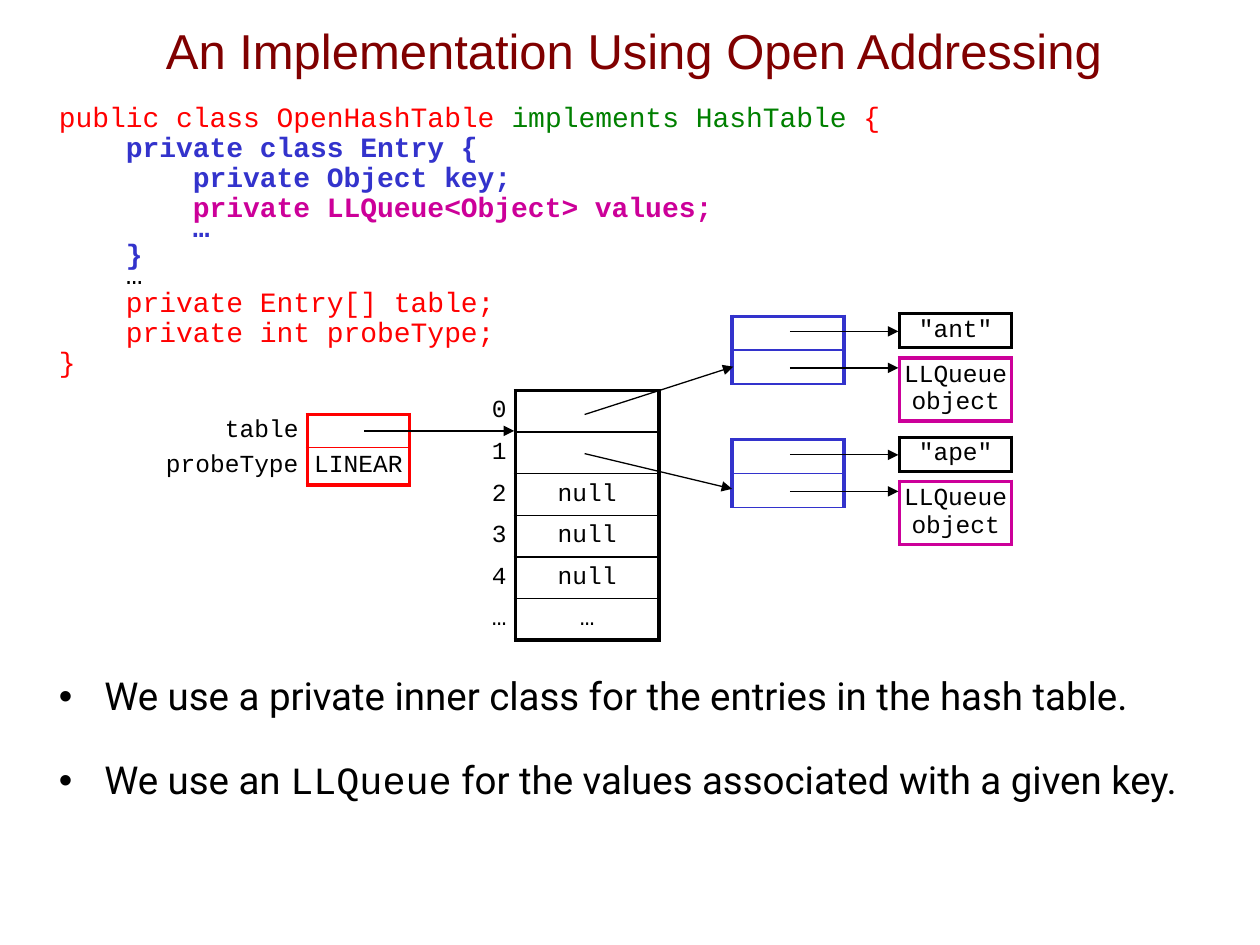
from dataclasses import dataclass

from lxml import etree
from pptx import Presentation
from pptx import util as u
from pptx.dml.color import RGBColor
from pptx.enum import shapes, text
from pptx.oxml.ns import qn


@dataclass(frozen=True)
class Theme:
    title: str = "800000"
    ink: str = "000000"
    red: str = "FF0000"
    green: str = "008000"
    blue: str = "3333CC"
    magenta: str = "CC0099"
    sans: str = "Arial"
    body: str = "Roboto"
    mono: str = "Courier New"
    title_size: int = 28
    body_size: int = 22
    code_size: int = 16
    cell_size: int = 14
    heavy: float = 2.25
    thin: float = 1
    arrow: float = 0.75


THEME = Theme()


def write(paragraph, content, *, font, size, colour=THEME.ink, bold=False):
    """Append a run to the paragraph; a newline becomes a line break."""
    for number, line in enumerate(content.split("\n")):
        if number:
            paragraph.add_line_break()
        run = paragraph.add_run()
        run.text = line
        run.font.name = font
        run.font.size = u.Pt(size)
        run.font.bold = bold
        run.font.color.rgb = RGBColor.from_string(colour)


def set_borders(cell, colour, **widths):
    """Set the four edges from widths in points; an edge left out is not drawn."""
    properties = cell._tc.get_or_add_tcPr()
    for position, side in enumerate("LRTB"):
        line = etree.Element(qn(f"a:ln{side}"))
        if side in widths:
            line.set("w", str(int(u.Pt(widths[side]))))
            fill = etree.SubElement(line, qn("a:solidFill"))
            etree.SubElement(fill, qn("a:srgbClr"), val=colour)
        else:
            etree.SubElement(line, qn("a:noFill"))
        properties.insert(position, line)


class SlideBuilder:
    def __init__(self, slide, theme):
        self.slide = slide
        self.theme = theme

    def text_box(self, left, top, width, height):
        box = self.slide.shapes.add_textbox(
            u.Inches(left), u.Inches(top), u.Inches(width), u.Inches(height))
        box.text_frame.word_wrap = True
        return box.text_frame

    def title(self, content):
        frame = self.text_box(0.28, -0.07, 9.5, 0.93)
        frame.vertical_anchor = text.MSO_ANCHOR.MIDDLE
        paragraph = frame.paragraphs[0]
        paragraph.alignment = text.PP_ALIGN.CENTER
        write(paragraph, content, font=self.theme.sans,
              size=self.theme.title_size, colour=self.theme.title)

    def code(self, lines):
        frame = self.text_box(0.37, 0.77, 9.63, 2.4)
        for number, runs in enumerate(lines):
            paragraph = frame.add_paragraph() if number else frame.paragraphs[0]
            ellipsis = runs[0][0].strip() == "…"
            paragraph.line_spacing = 0.5 if ellipsis else 0.9
            for content, colour, bold in runs:
                write(paragraph, content, font=self.theme.mono,
                      size=self.theme.code_size, colour=colour, bold=bold)

    def bullets(self, items):
        frame = self.text_box(0.37, 5.33, 9.63, 1.2)
        for number, runs in enumerate(items):
            paragraph = frame.add_paragraph() if number else frame.paragraphs[0]
            paragraph.line_spacing = 0.9
            if number:
                paragraph.space_before = u.Pt(24)
            properties = paragraph._p.get_or_add_pPr()
            properties.set("marL", str(u.Inches(0.36)))
            properties.set("indent", str(-u.Inches(0.36)))
            etree.SubElement(properties, qn("a:buFont"), typeface=self.theme.sans)
            etree.SubElement(properties, qn("a:buChar"), char="•")
            for content, font in runs:
                write(paragraph, content, font=font, size=self.theme.body_size)

    def memory(self, left, top, widths, heights, rows, colour, bottom=THEME.heavy):
        """Draw a table whose last column is boxed and whose others are labels."""
        frame = self.slide.shapes.add_table(
            len(heights), len(widths), u.Inches(left), u.Inches(top),
            u.Inches(sum(widths)), u.Inches(sum(heights)))
        table = frame.table
        table.first_row = table.horz_banding = False
        for column, width in zip(table.columns, widths):
            column.width = u.Inches(width)
        for row, height in zip(table.rows, heights):
            row.height = u.Inches(height)
        heavy, thin = self.theme.heavy, self.theme.thin
        last_row, last_column = len(heights) - 1, len(widths) - 1
        for row, values in enumerate(rows):
            for column, value in enumerate(values):
                cell = table.cell(row, column)
                boxed = column == last_column
                self.fill_cell(cell, value, boxed)
                if boxed:
                    set_borders(cell, colour, L=heavy, R=heavy,
                                T=thin if row else heavy,
                                B=bottom if row == last_row else thin)
                else:
                    set_borders(cell, colour, R=heavy)

    def fill_cell(self, cell, value, boxed):
        cell.fill.background()
        cell.margin_left = cell.margin_top = cell.margin_bottom = 0
        cell.margin_right = 0 if boxed else u.Inches(0.07)
        cell.vertical_anchor = text.MSO_ANCHOR.MIDDLE
        paragraph = cell.text_frame.paragraphs[0]
        paragraph.alignment = text.PP_ALIGN.CENTER if boxed else text.PP_ALIGN.RIGHT
        size = self.theme.cell_size
        if value:
            write(paragraph, value, font=self.theme.mono, size=size)
        else:
            # An empty cell would otherwise stretch its row to the default size.
            paragraph._p.get_or_add_endParaRPr().set("sz", str(size * 100))

    def arrow(self, start, end):
        connector = self.slide.shapes.add_connector(
            shapes.MSO_CONNECTOR.STRAIGHT,
            *(u.Inches(length) for length in (*start, *end)))
        connector.line.width = u.Pt(self.theme.arrow)
        connector.line.color.rgb = RGBColor.from_string(self.theme.ink)
        etree.SubElement(connector.line._get_or_add_ln(), qn("a:tailEnd"),
                         type="triangle", w="med", len="med")
        etree.SubElement(connector._element.spPr, qn("a:effectLst"))

    def entry(self, top, key):
        """Draw one hash table entry with its key and its queue of values."""
        width, height = 0.89, 0.27
        self.memory(5.81, top, [width], [height] * 2, [[""], [""]],
                    self.theme.blue, bottom=self.theme.thin)
        self.memory(7.14, top - 0.02, [width], [height], [[key]], self.theme.ink)
        self.memory(7.14, top + 0.33, [width], [0.5], [["LLQueue\nobject"]],
                    self.theme.magenta)
        for offset in (0.12, 0.41):
            self.arrow((6.27, top + offset), (7.13, top + offset))


def main():
    presentation = Presentation()
    presentation.slide_width = u.Inches(10)
    presentation.slide_height = u.Inches(7.5)
    slide = presentation.slides.add_slide(presentation.slide_layouts[6])
    builder = SlideBuilder(slide, THEME)
    red, blue = THEME.red, THEME.blue

    builder.title("An Implementation Using Open Addressing")
    builder.code([
        [("public class OpenHashTable ", red, False),
         ("implements HashTable", THEME.green, False), (" {", red, False)],
        [("    private class Entry {", blue, True)],
        [("        private Object key;", blue, True)],
        [("        private LLQueue<Object> values;", THEME.magenta, True)],
        [("        …", blue, True)],
        [("    }", blue, True)],
        [("    …", THEME.ink, False)],
        [("    private Entry[] table;", red, False)],
        [("    private int probeType;", red, False)],
        [("}", red, False)],
    ])
    builder.bullets([
        [("We use a private inner class for the entries in the hash table.", THEME.body)],
        [("We use an ", THEME.body), ("LLQueue", THEME.mono),
         (" for the values associated with a given key.", THEME.body)],
    ])

    builder.memory(1.08, 3.29, [1.36, 0.81], [0.26, 0.3],
                   [["table", ""], ["probeType", "LINEAR"]], red)
    slots = [["0", ""], ["1", ""], *([index, "null"] for index in "234"), ["…", "…"]]
    builder.memory(2.94, 3.1, [1.15, 1.14], [0.33] * len(slots), slots, THEME.ink)
    builder.entry(2.51, '"ant"')
    builder.entry(3.49, '"ape"')
    builder.arrow((2.89, 3.42), (4.08, 3.42))
    builder.arrow((4.64, 3.29), (5.82, 2.91))
    builder.arrow((4.64, 3.6), (5.81, 3.88))

    presentation.save("out.pptx")


if __name__ == "__main__":
    main()
